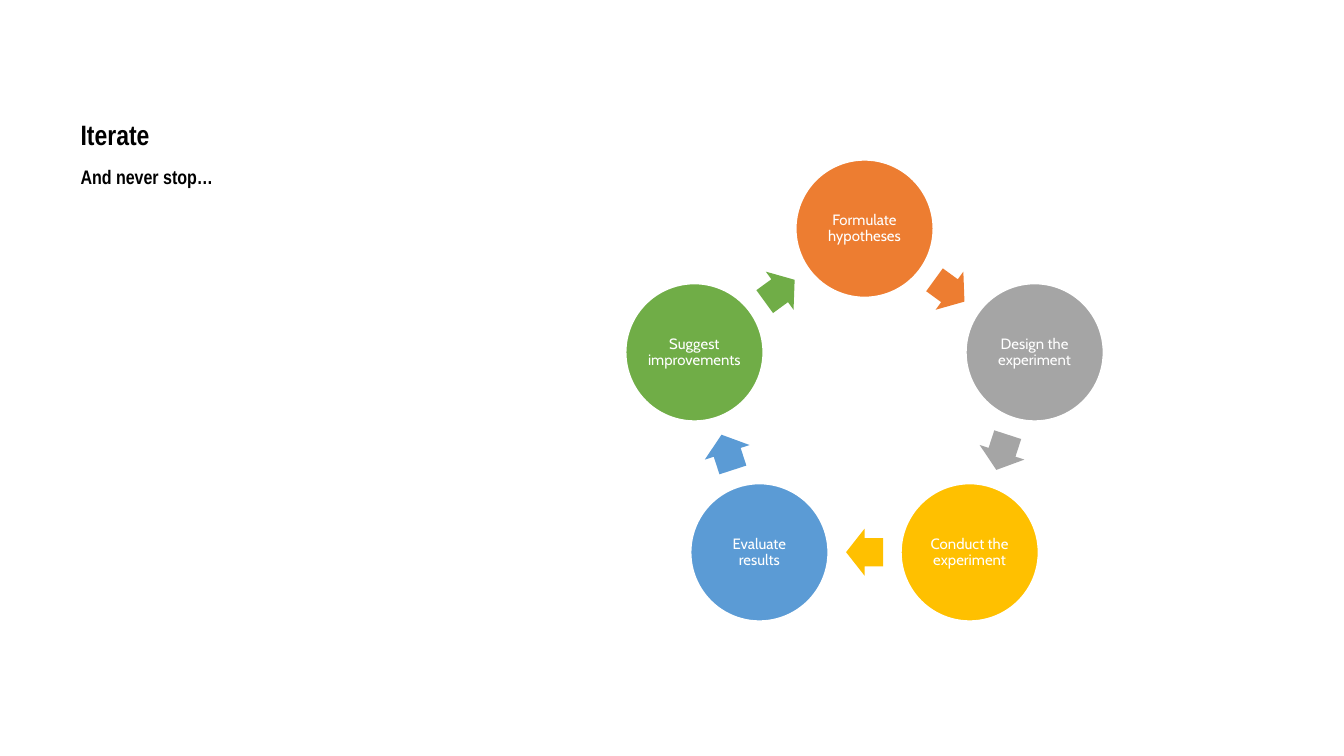
from math import cos, radians, sin

from lxml import etree
from pptx import Presentation
from pptx.dml.color import RGBColor
from pptx.enum.shapes import MSO_SHAPE
from pptx.enum.text import MSO_ANCHOR, MSO_AUTO_SIZE, PP_ALIGN
from pptx.oxml.ns import qn
from pptx.util import Cm, Pt

OVAL = MSO_SHAPE.OVAL
ARROW = MSO_SHAPE.RIGHT_ARROW
TOP, MIDDLE, BOTTOM = MSO_ANCHOR.TOP, MSO_ANCHOR.MIDDLE, MSO_ANCHOR.BOTTOM
LEFT, CENTER = PP_ALIGN.LEFT, PP_ALIGN.CENTER
NO_FIT = MSO_AUTO_SIZE.NONE

MID_X, MID_Y = 16.34, 7.7
STEPS = [
    ("Formulate hypotheses", "ED7D31"),
    ("Design the experiment", "A5A5A5"),
    ("Conduct the experiment", "FFC000"),
    ("Evaluate results", "5B9BD5"),
    ("Suggest improvements", "70AD47"),
]


def color(code):
    return RGBColor.from_string(code)


def style(para, face, size, code, bold, align):
    para.alignment = align
    para.font.name = face
    para.font.size = Pt(size)
    para.font.bold = bold
    para.font.color.rgb = color(code)


def fill_holder(holder, text, top, height, size, anchor):
    holder.left, holder.top = Cm(1.27), Cm(top)
    holder.width, holder.height = Cm(8.36), Cm(height)
    frame = holder.text_frame
    frame.text = text
    frame.word_wrap = True
    frame.auto_size = NO_FIT
    frame.vertical_anchor = anchor
    para = frame.paragraphs[0]
    para.space_before = Pt(0)
    props = para._p.get_or_add_pPr()
    props.set("marL", "0")
    props.set("indent", "0")
    etree.SubElement(props, qn("a:buNone"))
    style(para, "Arial Narrow", size, "000000", True, LEFT)


def add_part(slide, kind, angle, reach, width, height, code):
    turn = radians(angle)
    left = MID_X + reach * sin(turn) - width / 2
    top = MID_Y - reach * cos(turn) - height / 2
    part = slide.shapes.add_shape(kind, Cm(left), Cm(top), Cm(width), Cm(height))
    part.shadow.inherit = False
    part.fill.solid()
    part.fill.fore_color.rgb = color(code)
    return part


def add_step(slide, angle, text, code):
    step = add_part(slide, OVAL, angle, 3.38, 2.64, 2.64, code)
    step.line.color.rgb = color("FFFFFF")
    step.line.width = Pt(2)
    frame = step.text_frame
    frame.text = text
    frame.word_wrap = True
    frame.vertical_anchor = MIDDLE
    frame.margin_left = frame.margin_right = Cm(0.03)
    frame.margin_top = frame.margin_bottom = Cm(0.03)
    para = frame.paragraphs[0]
    para.line_spacing = 0.9
    style(para, "Cabin", 8, "FFFFFF", False, CENTER)


def add_arrow(slide, angle, code):
    arrow = add_part(slide, ARROW, angle, 2.73, 0.7, 0.89, code)
    arrow.line.fill.background()
    arrow.adjustments[0] = 0.6
    arrow.adjustments[1] = 0.5
    arrow.rotation = angle


def main():
    deck = Presentation()
    deck.slide_width, deck.slide_height = Cm(25.4), Cm(14.28)
    slide = deck.slides.add_slide(deck.slide_layouts[1])
    title, body = slide.placeholders
    fill_holder(title, "Iterate", 0.56, 2.42, 15, BOTTOM)
    fill_holder(body, "And never stop…", 2.99, 9.77, 10.5, TOP)
    gap = 360 / len(STEPS)
    for i, (text, code) in enumerate(STEPS):
        add_step(slide, i * gap, text, code)
        add_arrow(slide, (i + 0.5) * gap, code)
    deck.save("out.pptx")


if __name__ == "__main__":
    main()
